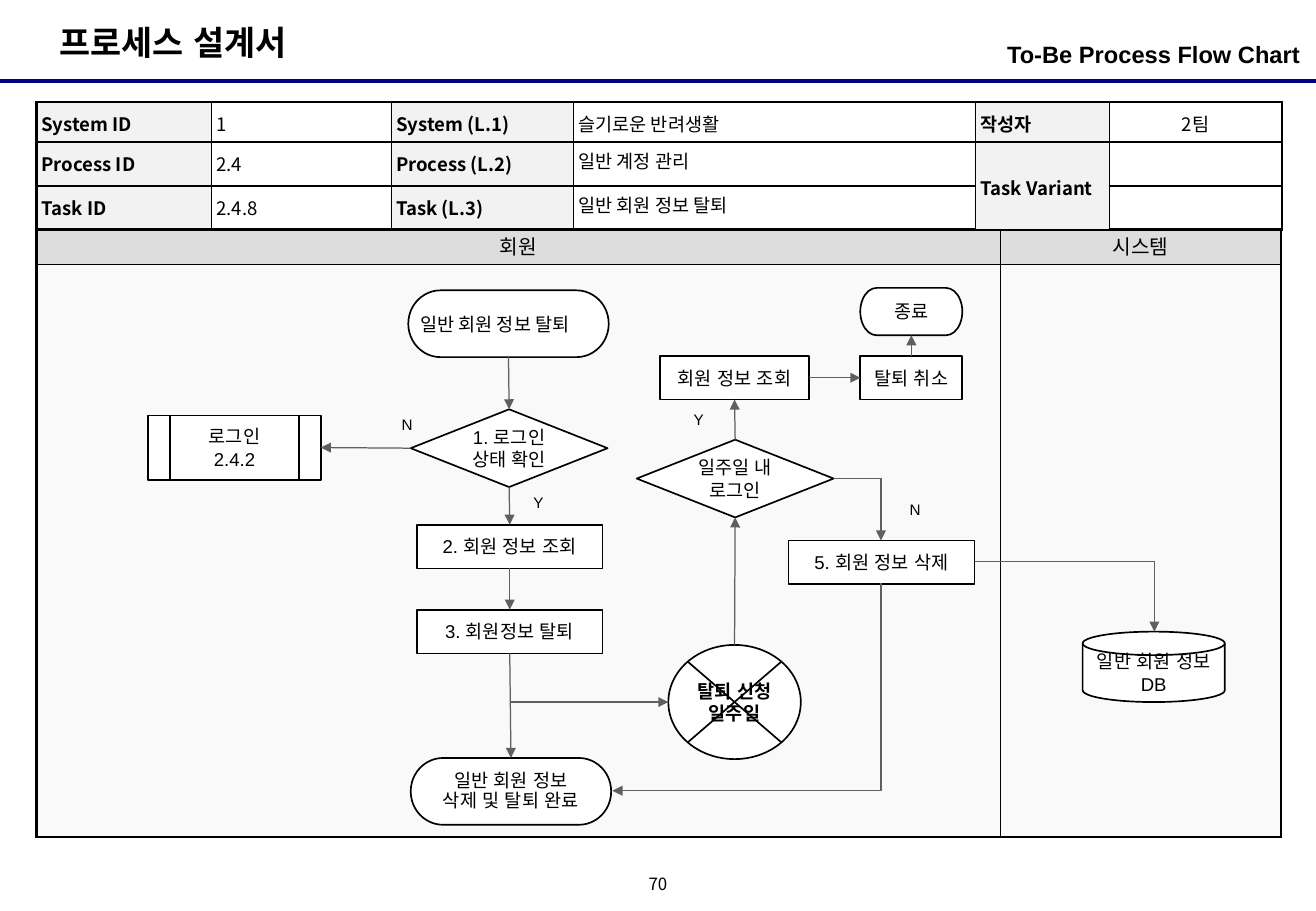
"""Build a process design slide with a header table and a flow chart."""
import pptx
import pptx.util
import pptx.dml.color
import pptx.enum.shapes
import pptx.enum.text
import pptx.oxml
import pptx.oxml.ns
import lxml.etree

Inches, Pt = pptx.util.Inches, pptx.util.Pt
KIND = pptx.enum.shapes.MSO_SHAPE
LINK = pptx.enum.shapes.MSO_CONNECTOR
ALIGN = pptx.enum.text.PP_ALIGN
ANCHOR = pptx.enum.text.MSO_ANCHOR
NOTO = "Noto Sans CJK KR"
TOP, LEFT, BOTTOM, RIGHT = range(4)

HEAD = [
    ["System ID", "1", "System (L.1)", "슬기로운 반려생활", "작성자", "2팀"],
    ["Process ID", "2.4", "Process (L.2)", "일반 계정 관리", "Task Variant", ""],
    ["Task ID", "2.4.8", "Task (L.3)", "일반 회원 정보 탈퇴", "", ""],
]
LANES = [["회원", "시스템"], ["", ""]]
HEAD_COLS, HEAD_ROWS = [1.44, 1.48, 1.5, 3.31, 1.1, 1.42], [0.33, 0.36, 0.36]
LANE_COLS, LANE_ROWS = [7.93, 2.31], [0.29, 4.71]

TEXTS = [
    ("프로세스 설계서", (0.39, 0.13, 2.26, 0.44), dict(size=20, bold=True, inset=(0.1, 0.05))),
    ("To-Be Process Flow Chart", (7.39, 0.28, 3.31, 0.39),
     dict(size=14, bold=True, align=ALIGN.RIGHT, inset=(0, 0.05))),
    ("70", (5.25, 7.17, 0.33, 0.25),
     dict(size=10, font=NOTO, align=ALIGN.CENTER, anchor=ANCHOR.MIDDLE, space=0.8)),
]
MARKS = [("Y", 4.29, 4.01), ("N", 3.21, 3.37), ("Y", 5.61, 3.33), ("N", 7.39, 4.07)]

END, ASK, BOX = KIND.FLOWCHART_TERMINATOR, KIND.FLOWCHART_DECISION, KIND.RECTANGLE
NODES = {
    "start": (END, (3.36, 2.39, 1.65, 0.55), "일반 회원 정보 탈퇴", dict(font=NOTO, align=ALIGN.LEFT)),
    "check": (ASK, (3.38, 3.37, 1.62, 0.64), "1. 로그인 상태 확인", {}),
    "login": (KIND.FLOWCHART_PREDEFINED_PROCESS, (1.22, 3.42, 1.42, 0.53), "로그인\n2.4.2", {}),
    "view": (BOX, (3.43, 4.32, 1.53, 0.36), "2. 회원 정보 조회", {}),
    "leave": (BOX, (3.43, 5.02, 1.53, 0.36), "3. 회원정보 탈퇴", {}),
    "done": (END, (3.38, 6.24, 1.65, 0.55), "일반 회원 정보\n삭제 및 탈퇴 완료", dict(space=0.9)),
    "wait": (KIND.FLOWCHART_SUMMING_JUNCTION, (5.5, 5.31, 1.09, 0.94), "탈퇴 신청 일주일",
             dict(bold=True, inset=(0.04, 0.04))),
    "week": (ASK, (5.24, 3.62, 1.62, 0.64), "일주일 내 로그인", {}),
    "find": (BOX, (5.43, 2.93, 1.23, 0.36), "회원 정보 조회", {}),
    "cancel": (BOX, (7.08, 2.93, 0.84, 0.36), "탈퇴 취소", {}),
    "end": (END, (7.08, 2.37, 0.84, 0.39), "종료", dict(font=NOTO)),
    "erase": (BOX, (6.49, 4.45, 1.53, 0.36), "5. 회원 정보 삭제", {}),
    "store": (KIND.FLOWCHART_MAGNETIC_DISK, (8.91, 5.2, 1.17, 0.58), "일반 회원 정보\nDB",
              dict(inset=(0.04, 0.04))),
}
JOINS = [
    ("start", BOTTOM, "check", TOP), ("check", LEFT, "login", RIGHT),
    ("check", BOTTOM, "view", TOP), ("view", BOTTOM, "leave", TOP),
    ("leave", BOTTOM, "done", TOP), ("wait", TOP, "week", BOTTOM),
    ("week", TOP, "find", BOTTOM), ("find", RIGHT, "cancel", LEFT),
    ("cancel", TOP, "end", BOTTOM),
]
BENDS = [
    ((6.86, 3.94, 7.25, 4.45), 0),
    ((8.02, 4.62, 9.5, 5.2), 0),
    ((5.29, 4.55, 7, 6.76), 90),
]


def color(code):
    return pptx.dml.color.RGBColor.from_string(code)


def put(frame, text, size=11, font="Arial", bold=False, align=ALIGN.LEFT,
        anchor=ANCHOR.TOP, inset=(0, 0), space=None):
    frame.word_wrap = True
    frame.vertical_anchor = anchor
    frame.margin_left = frame.margin_right = Inches(inset[0])
    frame.margin_top = frame.margin_bottom = Inches(inset[1])
    frame.text = text
    for para in frame.paragraphs:
        para.alignment = align
        if space:
            para.line_spacing = space
        para.font.size = Pt(size)
        for run in para.runs:
            run.font.size, run.font.name, run.font.bold = Pt(size), font, bold
            run.font.color.rgb = color("000000")
            east = lxml.etree.SubElement(run._r.get_or_add_rPr(), pptx.oxml.ns.qn("a:ea"))
            east.set("typeface", font)


def wire(shapes, ends, code="5F5F5F", width=0.75, kind=LINK.STRAIGHT, arrow=True):
    line = shapes.add_connector(kind, *map(Inches, ends))
    line.line.color.rgb = color(code)
    line.line.width = Pt(width)
    if arrow:
        tail = lxml.etree.SubElement(line.line._get_or_add_ln(), pptx.oxml.ns.qn("a:tailEnd"))
        tail.set("type", "triangle")
    lxml.etree.SubElement(line._element.spPr, pptx.oxml.ns.qn("a:effectLst"))
    return line


def border(cell, widths):
    props = cell._tc.get_or_add_tcPr()
    for spot, (side, width) in enumerate(zip("LRTB", widths)):
        props.insert(spot, pptx.oxml.parse_xml(
            f'<a:ln{side} {pptx.oxml.ns.nsdecls("a")} w="{Pt(width)}"><a:solidFill>'
            f'<a:srgbClr val="000000"/></a:solidFill></a:ln{side}>'))


def grid(shapes, data, left, top, cols, rows, inner, style):
    frame = shapes.add_table(len(rows), len(cols), Inches(left), Inches(top),
                             Inches(sum(cols)), Inches(sum(rows)))
    table = frame.table
    table.first_row = table.horz_banding = False
    for col, width in zip(table.columns, cols):
        col.width = Inches(width)
    for row, height in zip(table.rows, rows):
        row.height = Inches(height)
    for y, line in enumerate(data):
        for x, text in enumerate(line):
            cell = table.cell(y, x)
            fill, form = style(y, x)
            form = dict(form)
            side, edge = form.pop("inset")
            anchor = form.pop("anchor", ANCHOR.TOP)
            put(cell.text_frame, text, **form)
            cell.margin_left = cell.margin_right = Inches(side)
            cell.margin_top = cell.margin_bottom = Inches(edge)
            cell.vertical_anchor = anchor
            cell.fill.solid()
            cell.fill.fore_color.rgb = color(fill)
            outer = (x == 0, x == len(cols) - 1, y == 0, y == len(rows) - 1)
            border(cell, [1.5 if out else inner for out in outer])
    return table


def head(y, x):
    label = x % 2 == 0
    form = dict(font=NOTO, bold=label, inset=(0.04, 0.04),
                space=1 if x == 3 and y else 1.1,
                align=ALIGN.CENTER if x == 5 else ALIGN.LEFT,
                anchor=ANCHOR.MIDDLE if x > 3 else ANCHOR.TOP)
    return "F2F2F2" if label else "FFFFFF", form


def lane(y, x):
    form = dict(size=12, align=ALIGN.CENTER, anchor=ANCHOR.MIDDLE, inset=(0.1, 0.05))
    return "F9F9F9" if y else "DDDDDD", form


def main():
    deck = pptx.Presentation()
    deck.slide_width, deck.slide_height = Inches(10.83), Inches(7.5)
    shapes = deck.slides.add_slide(deck.slide_layouts[6]).shapes

    wire(shapes, (0, 0.67, 10.83, 0.67), "000080", 2.25, arrow=False)
    marks = [(text, (x, y, 0.28, 0.25),
              dict(size=9, align=ALIGN.CENTER, anchor=ANCHOR.MIDDLE)) for text, x, y in MARKS]
    grid(shapes, LANES, 0.3, 1.89, LANE_COLS, LANE_ROWS, 0.75, lane)
    table = grid(shapes, HEAD, 0.3, 0.84, HEAD_COLS, HEAD_ROWS, 1, head)
    table.cell(1, 4).merge(table.cell(2, 4))
    for text, place, form in TEXTS + marks:
        put(shapes.add_textbox(*map(Inches, place)).text_frame, text, **form)

    nodes = {}
    for name, (kind, place, text, form) in NODES.items():
        node = nodes[name] = shapes.add_shape(kind, *map(Inches, place))
        node.shadow.inherit = False
        node.fill.solid()
        node.fill.fore_color.rgb = color("FFFFFF")
        node.line.color.rgb = color("000000")
        node.line.width = Pt(1)
        base = dict(align=ALIGN.CENTER, anchor=ANCHOR.MIDDLE, inset=(0.02, 0))
        put(node.text_frame, text, **{**base, **form})

    for start, out, stop, into in JOINS:
        line = wire(shapes, (0, 0, 1, 1))
        line.begin_connect(nodes[start], out)
        line.end_connect(nodes[stop], into)
    wire(shapes, (4.2, 5.78, 5.5, 5.78))
    for ends, turn in BENDS:
        props = wire(shapes, ends, kind=LINK.ELBOW)._element.spPr
        props.find(pptx.oxml.ns.qn("a:prstGeom")).set("prst", "bentConnector2")
        props.find(pptx.oxml.ns.qn("a:xfrm")).set("rot", str(turn * 60000))

    deck.save("out.pptx")


if __name__ == "__main__":
    main()
